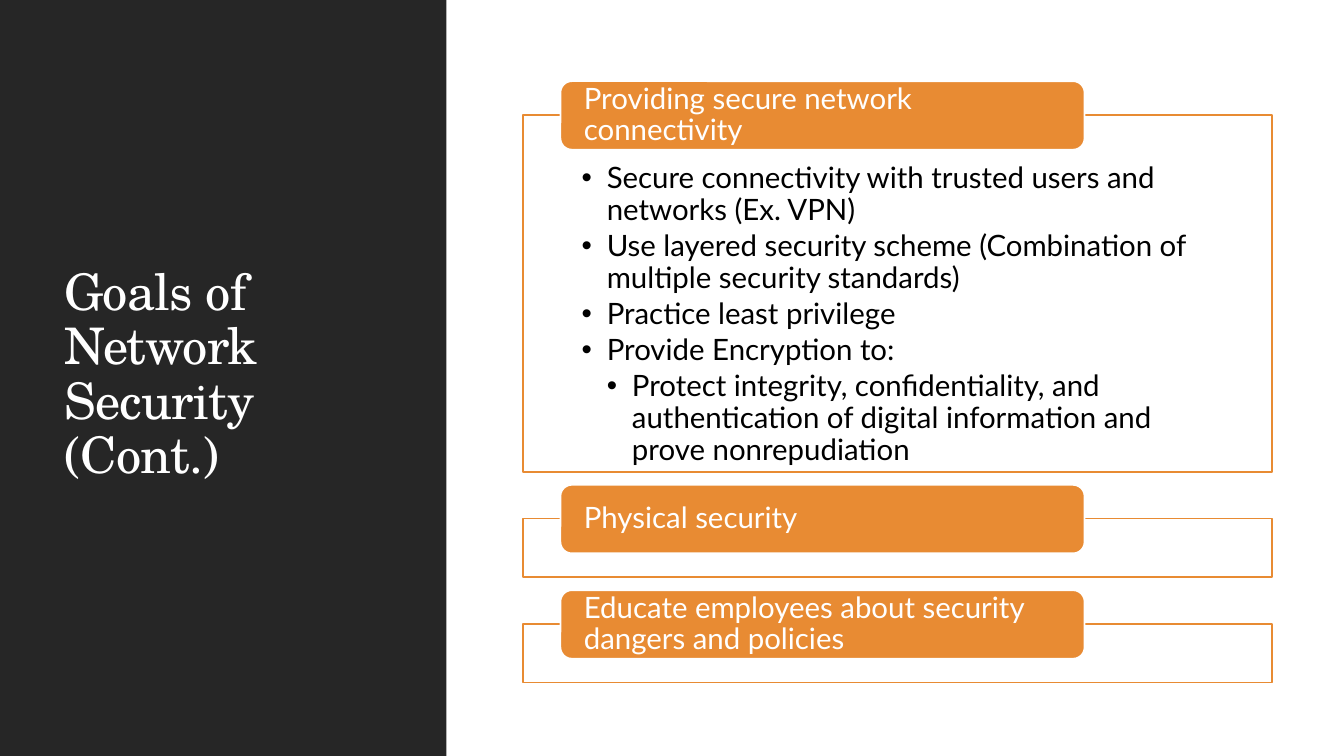
import pptx
import pptx.util
import pptx.dml.color
import pptx.enum.shapes
import pptx.enum.text
import pptx.oxml.ns
import lxml.etree

SHAPES = pptx.enum.shapes.MSO_SHAPE
ANCHORS = pptx.enum.text.MSO_ANCHOR
COLORS = {"dark": "262626", "white": "FFFFFF", "black": "000000", "orange": "E88B33"}
FONTS = {"title": "TeX Gyre Schola", "body": "Lato"}
BODY_SIZE = 21


def grid(cells):
    """Length of a number of grid cells, ten to the inch."""
    return pptx.util.Inches(cells / 10)


def color(name):
    return pptx.dml.color.RGBColor.from_string(COLORS[name])


def add_child(parent, tag, **attributes):
    return lxml.etree.SubElement(parent, pptx.oxml.ns.qn(tag), **attributes)


class GoalsSlide:
    def __init__(self, deck):
        self.page = deck.slides.add_slide(deck.slide_layouts[6])

    def block(self, kind, place, fill, line=None):
        box = self.page.shapes.add_shape(kind, *map(grid, place))
        box.shadow.inherit = False
        box.fill.solid()
        box.fill.fore_color.rgb = color(fill)
        if line:
            box.line.color.rgb = color(line)
            box.line.width = pptx.util.Pt(1.25)
        else:
            box.line.fill.background()
        return box

    def frame(self, box, anchor, margins):
        frame = box.text_frame
        frame.word_wrap = True
        frame.vertical_anchor = anchor
        (frame.margin_left, frame.margin_top,
         frame.margin_right, frame.margin_bottom) = map(grid, margins)
        return frame

    def add_text(self, para, text, tone, size=BODY_SIZE, font="body"):
        para.alignment = pptx.enum.text.PP_ALIGN.LEFT
        para.line_spacing = 0.9
        span = para.add_run()
        span.text = text
        span.font.name = FONTS[font]
        span.font.size = pptx.util.Pt(size)
        span.font.color.rgb = color(tone)
        return span

    def title(self, place, text):
        box = self.page.shapes.add_textbox(*map(grid, place))
        frame = self.frame(box, ANCHORS.MIDDLE, (1, 0.5, 1, 0.5))
        span = self.add_text(frame.paragraphs[0], text, "white", 36, "title")
        span.font._element.set("spc", "-50")

    def panel(self, place, bullets):
        box = self.block(SHAPES.RECTANGLE, place, "white", "orange")
        frame = self.frame(box, ANCHORS.TOP, (5.8, 4.8, 5.8, 1.6))
        for index, (level, text) in enumerate(bullets):
            para = frame.add_paragraph() if index else frame.paragraphs[0]
            self.add_text(para, text, "black")
            para.space_after = pptx.util.Pt(0.15 * BODY_SIZE)
            self.bullet(para, level)

    def bullet(self, para, level):
        step = grid(2.5)
        properties = para._p.get_or_add_pPr()
        properties.set("marL", str(step * level))
        properties.set("indent", str(-step))
        add_child(properties, "a:buFont", typeface="Arial")
        add_child(properties, "a:buChar", char="•")

    def label(self, place, text):
        box = self.block(SHAPES.ROUNDED_RECTANGLE, place, "orange", "white")
        frame = self.frame(box, ANCHORS.MIDDLE, (2, 0, 2, 0))
        self.add_text(frame.paragraphs[0], text, "white")


GOALS = [
    ("Providing secure network connectivity", 35.4, [
        (1, "Secure connectivity with trusted users and networks (Ex. VPN)"),
        (1, "Use layered security scheme (Combination of multiple security standards)"),
        (1, "Practice least privilege"),
        (1, "Provide Encryption to:"),
        (2, "Protect integrity, confidentiality, and authentication of digital "
            "information and prove nonrepudiation"),
    ]),
    ("Physical security", 5.8, []),
    ("Educate employees about security dangers and policies", 5.8, []),
]


def main():
    deck = pptx.Presentation()
    deck.slide_width, deck.slide_height = grid(133.33), grid(75)
    slide = GoalsSlide(deck)

    # Dark side band with the title
    slide.block(SHAPES.RECTANGLE, (0, 0, 44.3, 75), "dark")
    slide.title((5.4, 5.7, 33.7, 63.1), "Goals of Network Security (Cont.)")

    # Stacked goals: each label straddles the top edge of its panel
    top, overlap, gap = 11.4, 3.35, 4.65
    for heading, height, bullets in GOALS:
        slide.panel((51.9, top, 74.3, height), bullets)
        slide.label((55.6, top - overlap, 52, 6.8), heading)
        top += height + gap

    deck.save("out.pptx")


if __name__ == "__main__":
    main()
